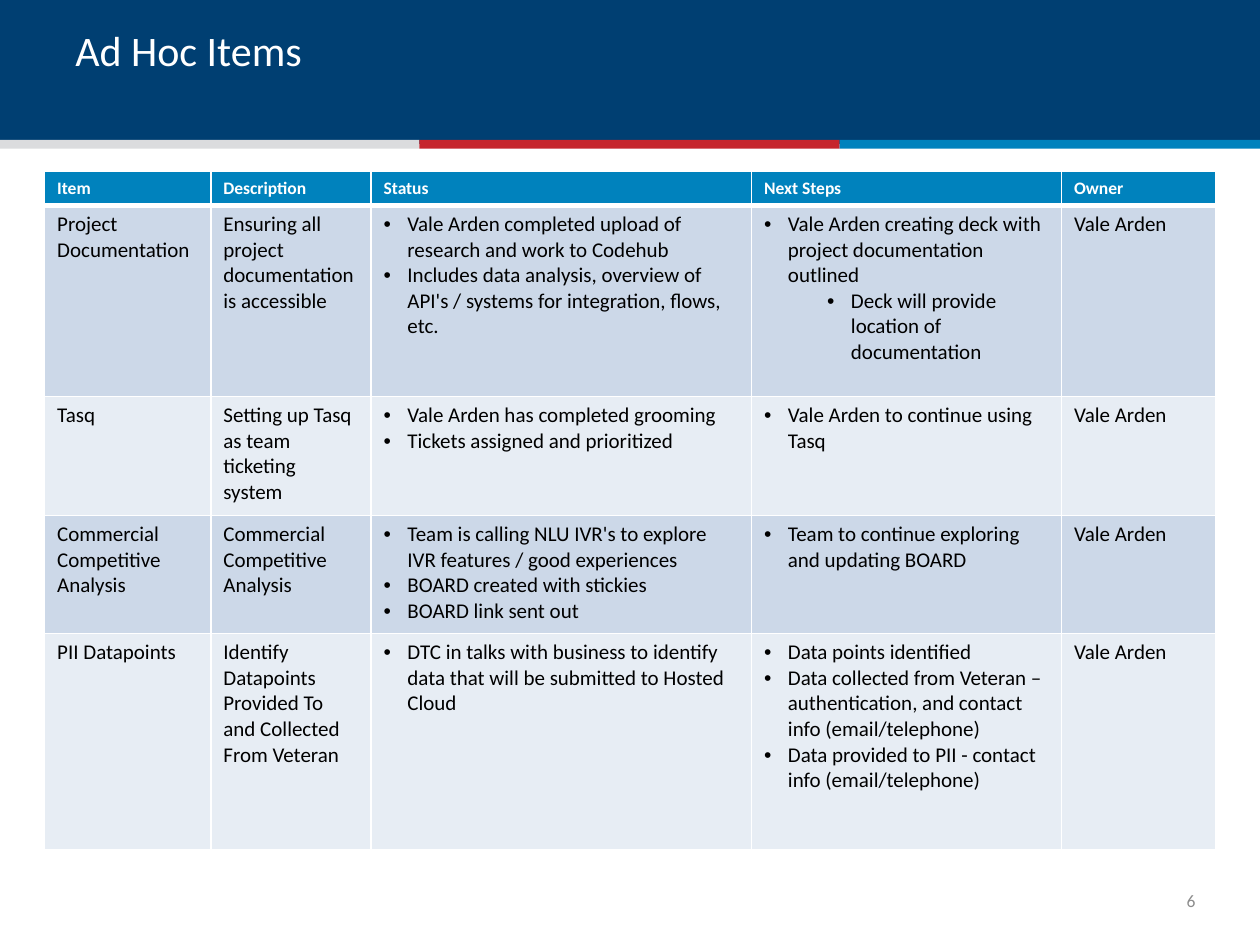
"""Build the Ad Hoc Items status slide."""
from lxml import etree
from pptx import Presentation
from pptx.dml.color import RGBColor
from pptx.enum.shapes import MSO_SHAPE
from pptx.enum.text import MSO_ANCHOR, PP_ALIGN
from pptx.oxml.ns import qn
from pptx.util import Cm, Pt

RECT = MSO_SHAPE.RECTANGLE
TOP, MIDDLE = MSO_ANCHOR.TOP, MSO_ANCHOR.MIDDLE
LEFT, RIGHT = PP_ALIGN.LEFT, PP_ALIGN.RIGHT
FONT = "Calibri"
COLORS = {
    "navy": "003F72", "gray": "DBDCDE", "red": "C6262D", "blue": "0082BD",
    "white": "FFFFFF", "black": "000000", "number": "8C8C8C",
    "band_dark": "CCD8E8", "band_light": "E7EDF4",
}
STRIPES = ["gray", "red", "blue"]
TITLE = "Ad Hoc Items"
PAGE = "6"
OWNER = "Vale Arden"
HEADERS = ["Item", "Description", "Status", "Next Steps", "Owner"]
ITEMS = [
    (["Project Documentation"],
     ["Ensuring all project documentation is accessible"],
     [f"{OWNER} completed upload of research and work to Codehub",
      "Includes data analysis, overview of API's / systems for integration, flows, etc."],
     [f"{OWNER} creating deck with project documentation outlined",
      ("Deck will provide location of documentation", 1)],
     [OWNER]),
    (["Tasq"],
     ["Setting up Tasq as team ticketing system"],
     [f"{OWNER} has completed grooming", "Tickets assigned and prioritized"],
     [f"{OWNER} to continue using Tasq"],
     [OWNER]),
    (["Commercial Competitive Analysis"],
     ["Commercial", "Competitive", "Analysis"],
     ["Team is calling NLU IVR's to explore IVR features / good experiences",
      "BOARD created with stickies", "BOARD link sent out"],
     ["Team to continue exploring and updating BOARD"],
     [OWNER]),
    (["PII Datapoints"],
     ["Identify Datapoints Provided To and Collected From Veteran"],
     ["DTC in talks with business to identify data that will be submitted to Hosted Cloud"],
     ["Data points identified",
      "Data collected from Veteran – authentication, and contact info (email/telephone)",
      "Data provided to PII - contact info (email/telephone)"],
     [OWNER]),
]
BULLET_COLUMNS = (2, 3)
COL_WIDTHS = [3.35, 3.23, 7.67, 6.25, 3.1]
ROW_HEIGHTS = [0.67, 3.85, 2.4, 2.38, 4.37]
INDENT, LEVEL_STEP = 0.48, 1.27


def rgb(name):
    return RGBColor.from_string(COLORS[name])


def add_bar(s, left, top, width, height, color):
    bar = s.shapes.add_shape(RECT, Cm(left), Cm(top), Cm(width), Cm(height))
    bar.shadow.inherit = False
    bar.fill.solid()
    bar.fill.fore_color.rgb = rgb(color)
    bar.line.fill.background()


def style(p, size, color, bold=False, align=LEFT):
    p.alignment = align
    for r in p.runs:
        r.font.name, r.font.size, r.font.bold = FONT, Pt(size), bold
        r.font.color.rgb = rgb(color)


def add_label(s, text, box, size, color, anchor, align=LEFT, inset=None):
    tf = s.shapes.add_textbox(*map(Cm, box)).text_frame
    tf.word_wrap = True
    tf.vertical_anchor = anchor
    if inset is not None:
        tf.margin_left = tf.margin_right = tf.margin_top = tf.margin_bottom = Cm(inset)
    tf.text = text
    style(tf.paragraphs[0], size, color, align=align)


def add_bullet(p, level):
    pPr = p._p.get_or_add_pPr()
    pPr.set("marL", str(Cm(INDENT + level * LEVEL_STEP)))
    pPr.set("indent", str(-Cm(INDENT)))
    etree.SubElement(pPr, qn("a:buFont")).set("typeface", "Arial")
    etree.SubElement(pPr, qn("a:buChar")).set("char", "•")


def set_borders(cell, widths):
    tcPr = cell._tc.get_or_add_tcPr()
    for side, width in widths.items():
        ln = etree.SubElement(tcPr, qn(f"a:ln{side}"), w=str(Pt(width)))
        fill = etree.SubElement(ln, qn("a:solidFill"))
        etree.SubElement(fill, qn("a:srgbClr"), val=COLORS["white"])


def fill_cell(cell, entries, row, col):
    header = row == 0
    set_borders(cell, {"L": 1, "R": 1, "T": 3 if row == 1 else 1, "B": 3 if header else 1})
    cell.fill.solid()
    cell.fill.fore_color.rgb = rgb("blue" if header else "band_dark" if row % 2 else "band_light")
    tf = cell.text_frame
    for i, entry in enumerate(entries):
        text, level = entry if isinstance(entry, tuple) else (entry, 0)
        p = tf.add_paragraph() if i else tf.paragraphs[0]
        p.text = text
        if level:
            p.level = level
        if col in BULLET_COLUMNS and not header:
            add_bullet(p, level)
        style(p, 10 if header else 12, "white" if header else "black", header)


def add_items_table(s):
    rows = [[[h] for h in HEADERS], *ITEMS]
    table = s.shapes.add_table(len(rows), len(HEADERS), Cm(0.9), Cm(3.46),
                               Cm(sum(COL_WIDTHS)), Cm(sum(ROW_HEIGHTS))).table
    for column, width in zip(table.columns, COL_WIDTHS):
        column.width = Cm(width)
    for i, (height, row) in enumerate(zip(ROW_HEIGHTS, rows)):
        table.rows[i].height = Cm(height)
        for j, entries in enumerate(row):
            fill_cell(table.cell(i, j), entries, i, j)


def main():
    prs = Presentation()
    prs.slide_width, prs.slide_height = Cm(25.4), Cm(19.05)
    s = prs.slides.add_slide(prs.slide_layouts[6])
    add_bar(s, -0.02, 0, 25.42, 2.9, "navy")
    stripe = 25.42 / len(STRIPES)
    for i, color in enumerate(STRIPES):
        add_bar(s, -0.02 + i * stripe, 2.82, stripe, 0.18, color)
    add_label(s, TITLE, (1.27, 0.36, 22.86, 2.26), 24, "white", TOP)
    add_label(s, PAGE, (23.42, 17.65, 0.68, 1.02), 10, "number", MIDDLE, RIGHT, 0)
    add_items_table(s)
    prs.save("out.pptx")


if __name__ == "__main__":
    main()
